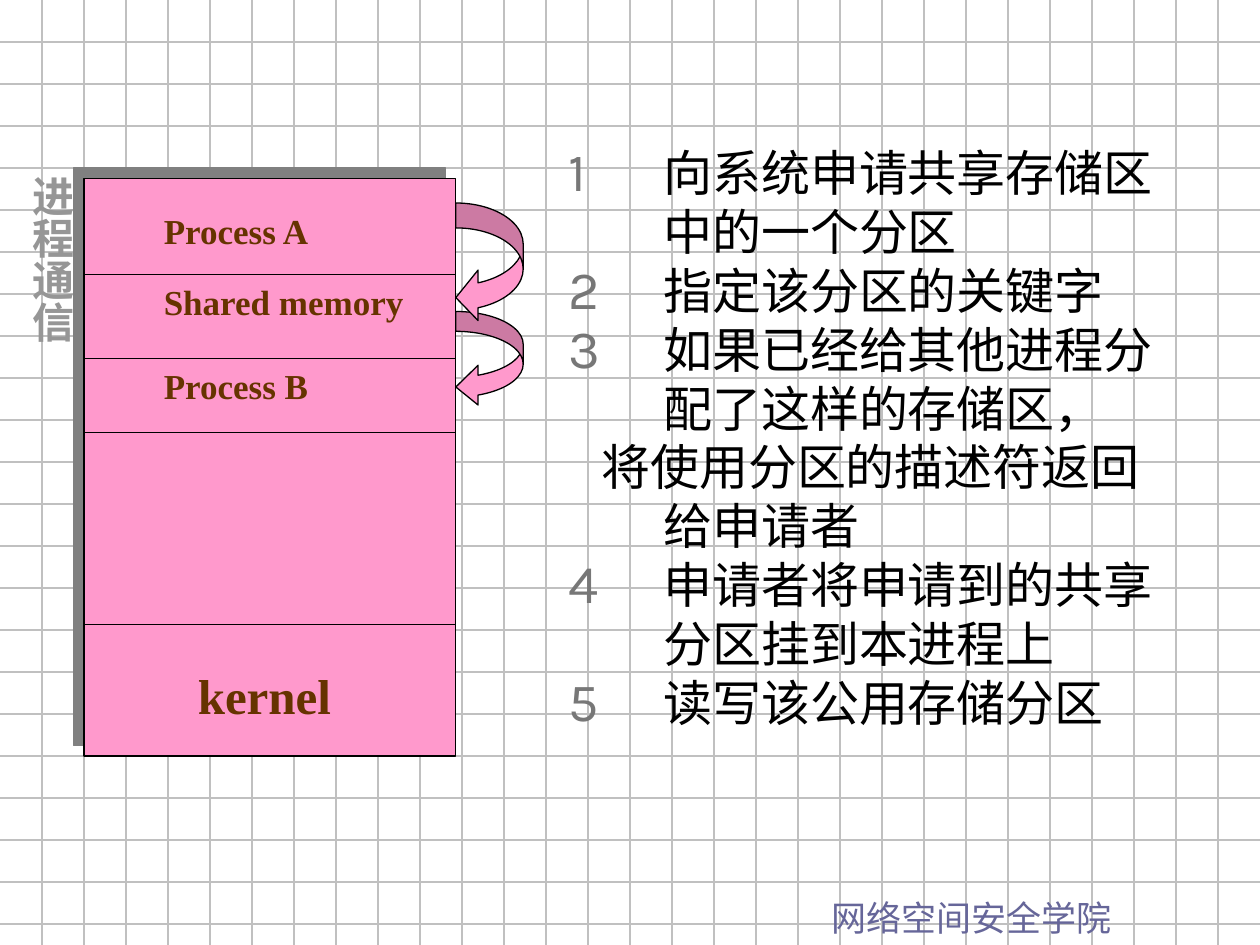
from lxml import etree
from pptx import Presentation
from pptx.dml.color import RGBColor
from pptx.enum.lang import MSO_LANGUAGE_ID
from pptx.enum.shapes import MSO_CONNECTOR, MSO_SHAPE
from pptx.enum.text import MSO_ANCHOR, PP_ALIGN
from pptx.oxml.ns import qn
from pptx.util import Pt

RECTANGLE = MSO_SHAPE.RECTANGLE
CURVED_ARROW = MSO_SHAPE.CURVED_LEFT_ARROW
STRAIGHT = MSO_CONNECTOR.STRAIGHT
CHINESE = MSO_LANGUAGE_ID.SIMPLIFIED_CHINESE
TOP = MSO_ANCHOR.TOP
LEFT, CENTER, JUSTIFY = PP_ALIGN.LEFT, PP_ALIGN.CENTER, PP_ALIGN.JUSTIFY

WIDTH, HEIGHT = 720, 540
GRID_STEP = 24
PINK, BROWN, BLACK = "FF99CC", "663300", "000000"
SANS, SERIF, BODY = "Noto Sans CJK JP", "Times New Roman", "Karla"

# Text, whether it is numbered, number to start at
STEPS = [
    ("向系统申请共享存储区中的一个分区", True, 1),
    ("指定该分区的关键字", True, 1),
    ("如果已经给其他进程分配了这样的存储区，", True, 1),
    ("将使用分区的描述符返回给申请者", False, None),
    ("申请者将申请到的共享分区挂到本进程上", True, 4),
    ("读写该公用存储分区", True, 4),
]
# Text, left, top, width, size, relative to the memory block
LABELS = [
    ("Process A", 38.5, 14, 116, 20),
    ("Process B", 38.5, 103, 116, 20),
    ("Shared memory", 38.5, 55, 155, 20),
    ("kernel", 58, 275, 96.5, 28),
]
DIVIDERS = [55, 103, 145, 255]
# Top, height, adjustments (shaft, head width, head length)
ARROWS = [(76, 54.5, (0.295, 0.59, 0.33)), (14, 68.5, (0.37, 0.75, 0.33))]


def color(value):
    return RGBColor.from_string(value)


def add_element(parent, tag, **attributes):
    return etree.SubElement(parent, qn(tag), attributes)


def write_text(paragraph, text, size, font, fill, bold=False, align=LEFT):
    paragraph.alignment = align
    run = paragraph.add_run()
    run.text = text
    run.font.size = Pt(size)
    run.font.bold = bold
    run.font.name = font
    run.font.language_id = CHINESE
    run.font.color.rgb = color(fill)
    add_element(run._r.get_or_add_rPr(), "a:ea", typeface=font)


def add_text_box(slide, left, top, width, height):
    box = slide.shapes.add_textbox(Pt(left), Pt(top), Pt(width), Pt(height))
    box.text_frame.word_wrap = True
    return box.text_frame


def add_line(slide, start_x, start_y, end_x, end_y, stroke):
    line = slide.shapes.add_connector(
        STRAIGHT, Pt(start_x), Pt(start_y), Pt(end_x), Pt(end_y))
    line.line.color.rgb = color(stroke)
    line.line.width = Pt(0.75)
    add_element(line._element.spPr, "a:effectLst")


def add_pink_shape(slide, kind, left, top, width, height, outlined=True):
    shape = slide.shapes.add_shape(kind, Pt(left), Pt(top), Pt(width), Pt(height))
    shape.shadow.inherit = False
    shape.fill.solid()
    shape.fill.fore_color.rgb = color(PINK)
    if outlined:
        shape.line.color.rgb = color(BLACK)
        shape.line.width = Pt(0.75)
    else:
        shape.line.fill.background()
    return shape


def add_offset_shadow(shape):
    """Cast a hard grey shadow towards the upper left."""
    effects = shape._element.spPr.find(qn("a:effectLst"))
    shadow = add_element(effects, "a:outerShdw", blurRad="0", dist=str(Pt(8.5)),
                         dir=str(225 * 60000), algn="ctr", rotWithShape="0")
    add_element(shadow, "a:srgbClr", val="808080")


def draw_grid(slide, width, height):
    for y in range(GRID_STEP, height, GRID_STEP):
        add_line(slide, 0, y, width, y, "C0C0C0")
    for x in range(GRID_STEP, width, GRID_STEP):
        add_line(slide, x, 0, x, height, "C0C0C0")


def draw_footer(slide, left, top, width, height):
    frame = add_text_box(slide, left, top, width, height)
    write_text(frame.paragraphs[0], "网络空间安全学院", 20, SANS, "666699")


def draw_side_title(slide, left, top, width, height):
    frame = add_text_box(slide, left, top, width, height)
    frame.margin_left = frame.margin_right = Pt(3.6)
    frame.margin_top = frame.margin_bottom = Pt(7.2)
    frame._txBody.bodyPr.set("vert", "eaVert")
    write_text(frame.paragraphs[0], "进程通信", 24, SANS, "969696",
               bold=True, align=CENTER)


def draw_steps(slide, left, top, width, height):
    frame = add_text_box(slide, left, top, width, height)
    for index, (text, numbered, start) in enumerate(STEPS):
        paragraph = frame.add_paragraph() if index else frame.paragraphs[0]
        properties = paragraph._p.get_or_add_pPr()
        properties.set("marL", str(Pt(54)))
        properties.set("indent", str(Pt(-54 if numbered else -35.4)))
        if numbered:
            bullet_color = add_element(properties, "a:buClr")
            add_element(bullet_color, "a:srgbClr", val="777777")
            add_element(properties, "a:buSzPct", val="110000")
            add_element(properties, "a:buAutoNum", type="arabicPlain",
                        startAt=str(start))
        else:
            add_element(properties, "a:buNone")
        write_text(paragraph, text, 28, BODY, BLACK)


def draw_memory(slide, left, top, width, height):
    block = add_pink_shape(slide, RECTANGLE, left, top, width, height)
    add_offset_shadow(block)
    for text, x, y, label_width, size in LABELS:
        label = add_pink_shape(slide, RECTANGLE, left + x, top + y,
                               label_width, 41, outlined=False)
        label.text_frame.word_wrap = True
        label.text_frame.vertical_anchor = TOP
        write_text(label.text_frame.paragraphs[0], text, size, SERIF, BROWN,
                   bold=True, align=JUSTIFY)
    for y in DIVIDERS:
        add_line(slide, left, top + y, left + width, top + y, BLACK)
    for y, arrow_height, adjustments in ARROWS:
        arrow = add_pink_shape(slide, CURVED_ARROW, left + width, top + y,
                               38.5, arrow_height)
        for index, value in enumerate(adjustments):
            arrow.adjustments[index] = value


def main():
    presentation = Presentation()
    presentation.slide_width, presentation.slide_height = Pt(WIDTH), Pt(HEIGHT)
    slide = presentation.slides.add_slide(presentation.slide_layouts[6])
    draw_grid(slide, WIDTH, HEIGHT)
    draw_footer(slide, 468, 509, 252, 31.5)
    draw_steps(slide, 318, 78, 366, 402)
    draw_memory(slide, 48, 102, 212.5, 330)
    draw_side_title(slide, 5, 93, 43, 330)
    presentation.save("out.pptx")


if __name__ == "__main__":
    main()
